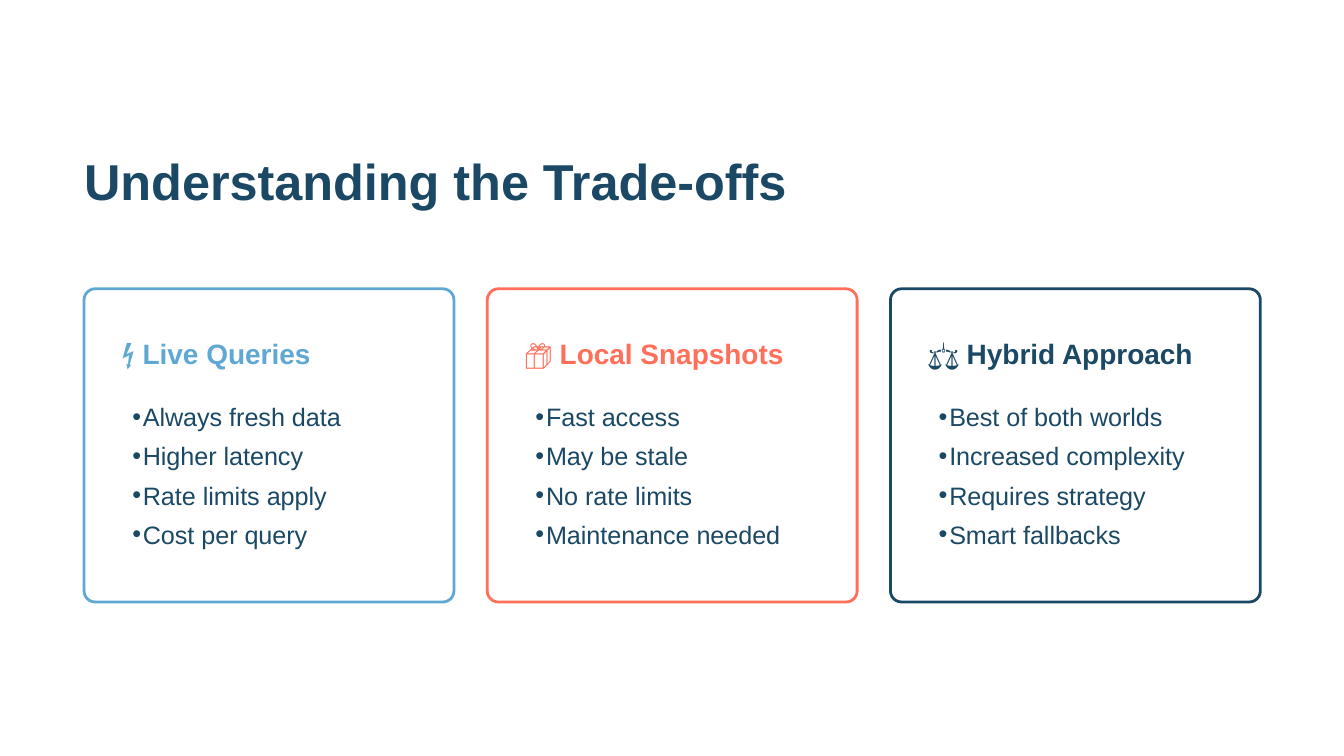
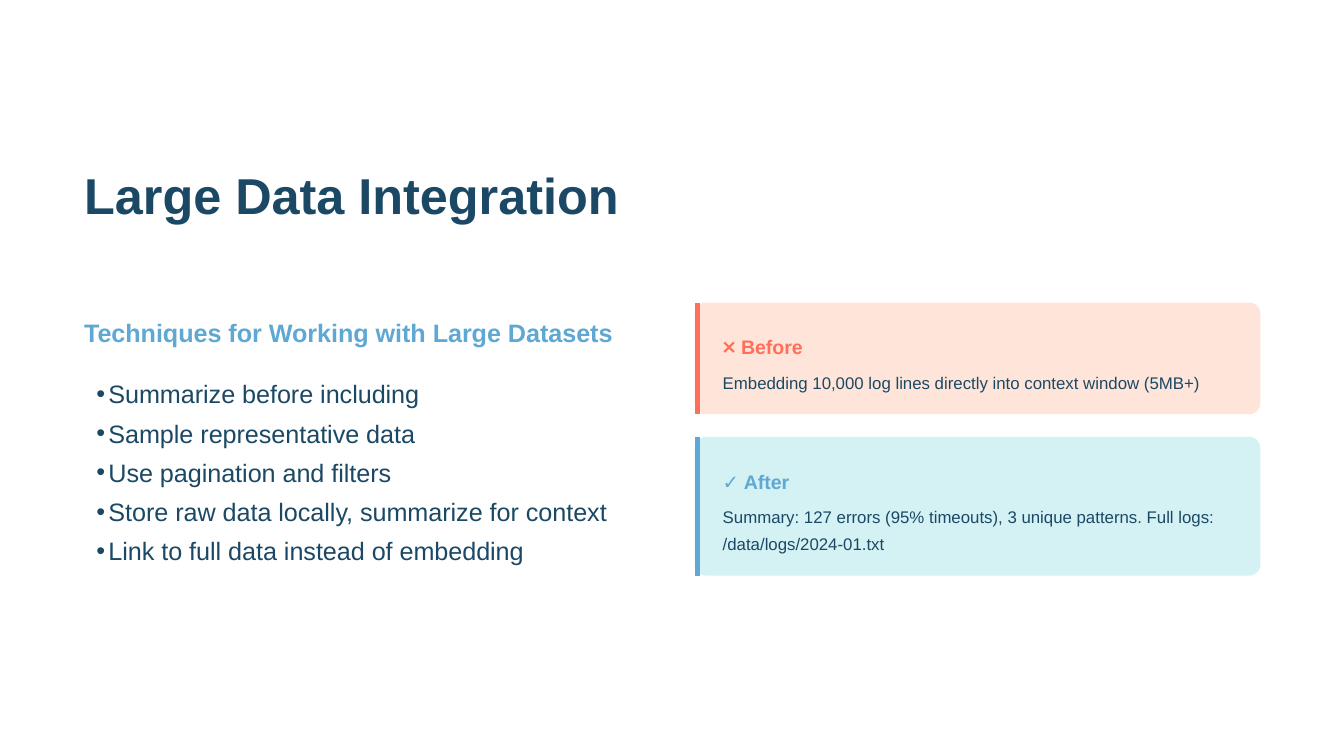
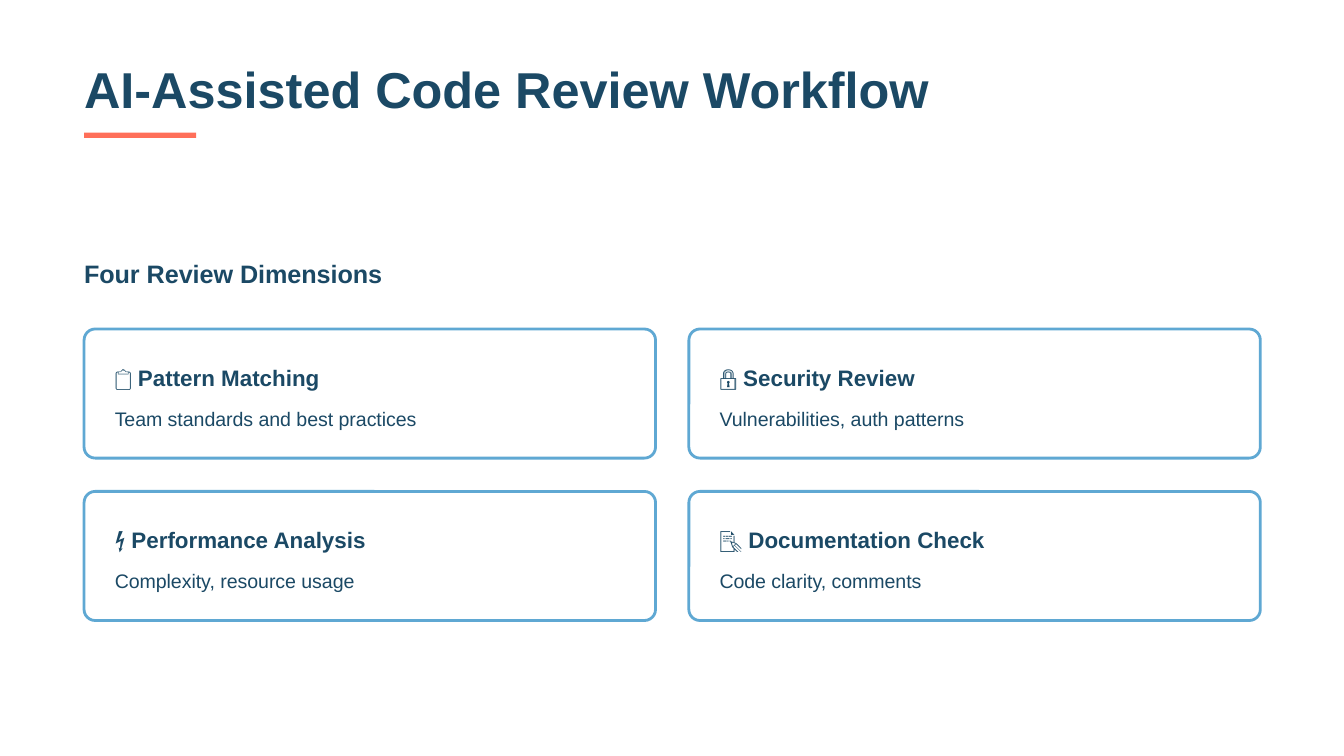
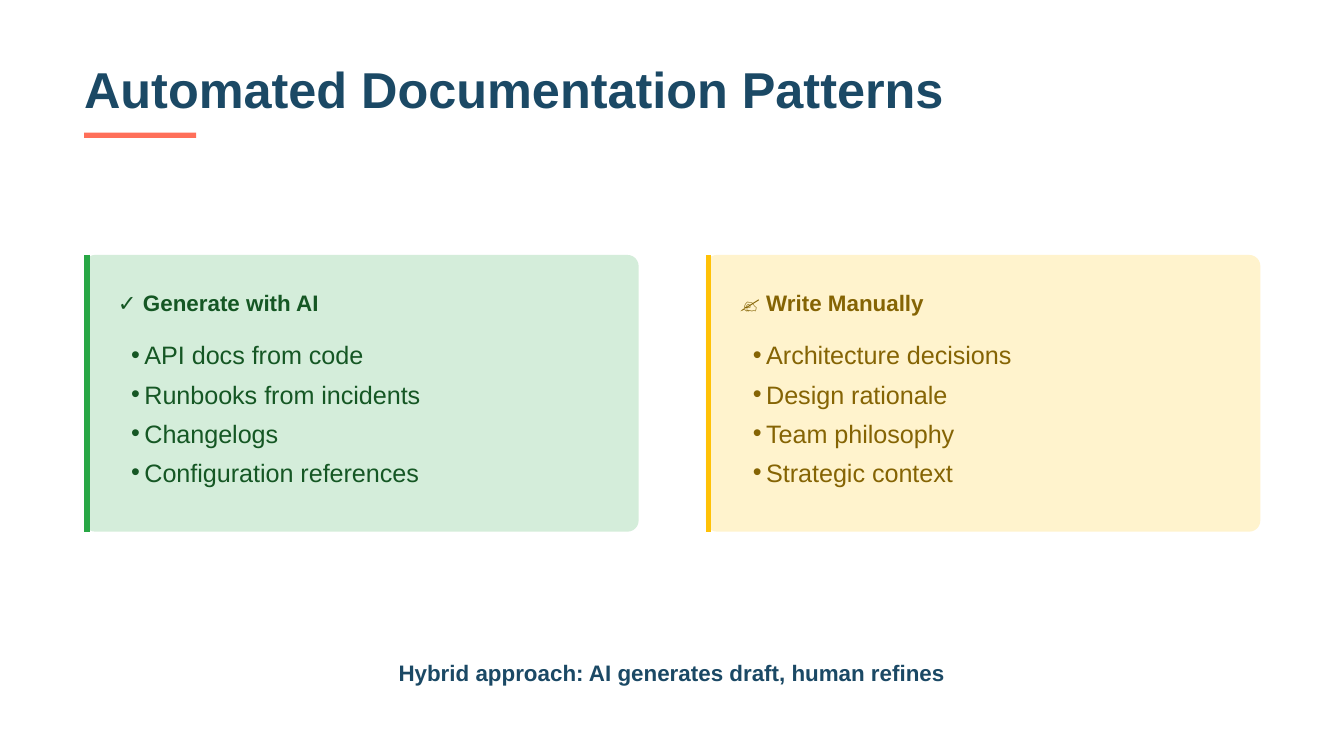
from dataclasses import dataclass
from typing import NamedTuple

from lxml import etree
from pptx import Presentation
from pptx import util as u
from pptx.dml.color import RGBColor
from pptx.enum import shapes, text
from pptx.oxml.ns import qn

NAVY = RGBColor(0x1B, 0x49, 0x65)
SKY = RGBColor(0x5F, 0xA8, 0xD3)
CORAL = RGBColor(0xFF, 0x6F, 0x59)
WHITE = RGBColor(0xFF, 0xFF, 0xFF)
PEACH = RGBColor(0xFF, 0xE5, 0xD9)
AQUA = RGBColor(0xD4, 0xF1, 0xF4)
MINT = RGBColor(0xD4, 0xED, 0xDA)
GREEN = RGBColor(0x28, 0xA7, 0x45)
FOREST = RGBColor(0x15, 0x57, 0x24)
CREAM = RGBColor(0xFF, 0xF3, 0xCD)
AMBER = RGBColor(0xFF, 0xC1, 0x07)
BROWN = RGBColor(0x85, 0x64, 0x04)

FACE = "Arial"
LEFT = 1.59
RADIUS = 0.21
TITLE_ONLY, ONE_LIST, TWO_LISTS, FOUR_SLOTS = 5, 1, 3, 4


class Box(NamedTuple):
    x: float
    y: float
    w: float
    h: float


class Style(NamedTuple):
    size: float
    line: float
    color: RGBColor = NAVY
    bold: bool = False


@dataclass
class Card:
    head: str
    items: list[str]
    edge: RGBColor


@dataclass
class Panel:
    head: str
    items: list[str]
    fill: RGBColor
    edge: RGBColor
    ink: RGBColor


@dataclass
class Note:
    head: str
    body: str
    fill: RGBColor
    edge: RGBColor
    top: float
    high: float
    rows: int


TITLE = Style(27, 30, bold=True)

CARDS = [
    Card("⚡ Live Queries",
         ["Always fresh data", "Higher latency", "Rate limits apply", "Cost per query"], SKY),
    Card("📦 Local Snapshots",
         ["Fast access", "May be stale", "No rate limits", "Maintenance needed"], CORAL),
    Card("⚖ Hybrid Approach",
         ["Best of both worlds", "Increased complexity", "Requires strategy", "Smart fallbacks"],
         NAVY),
]
TECHNIQUES = [
    "Summarize before including",
    "Sample representative data",
    "Use pagination and filters",
    "Store raw data locally, summarize for context",
    "Link to full data instead of embedding",
]
NOTES = [
    Note("❌ Before", "Embedding 10,000 log lines directly into context window (5MB+)",
         PEACH, CORAL, 5.72, 2.11, 1),
    Note("✓ After",
         "Summary: 127 errors (95% timeouts), 3 unique patterns. Full logs: /data/logs/2024-01.txt",
         AQUA, SKY, 8.26, 2.62, 2),
]
REVIEWS = [
    ("📋 Pattern Matching", "Team standards and best practices"),
    ("🔒 Security Review", "Vulnerabilities, auth patterns"),
    ("⚡ Performance Analysis", "Complexity, resource usage"),
    ("📝 Documentation Check", "Code clarity, comments"),
]
PANELS = [
    Panel("✓ Generate with AI",
          ["API docs from code", "Runbooks from incidents", "Changelogs",
           "Configuration references"], MINT, GREEN, FOREST),
    Panel("✍ Write Manually",
          ["Architecture decisions", "Design rationale", "Team philosophy", "Strategic context"],
          CREAM, AMBER, BROWN),
]


def place(shape, box: Box) -> None:
    shape.left, shape.top, shape.width, shape.height = map(u.Cm, box)


def write(shape, words: str, style: Style, inset: float = 0,
          align=text.PP_ALIGN.LEFT) -> None:
    frame = shape.text_frame
    frame.text = words
    frame.word_wrap = True
    frame.auto_size = text.MSO_AUTO_SIZE.NONE
    frame.vertical_anchor = text.MSO_ANCHOR.TOP
    frame.margin_left = u.Cm(inset)
    frame.margin_top = frame.margin_right = frame.margin_bottom = 0
    for para in frame.paragraphs:
        para.alignment = align
        para.line_spacing = u.Pt(style.line)
        para.space_before = para.space_after = u.Pt(0)
        for run in para.runs:
            font = run.font
            font.name, font.size, font.bold = FACE, u.Pt(style.size), style.bold
            font.color.rgb = style.color


def label(slide, words: str, box: Box, style: Style, align=text.PP_ALIGN.LEFT) -> None:
    write(slide.shapes.add_textbox(*map(u.Cm, box)), words, style, align=align)


def bullets(slot, items: list[str], box: Box, ink: RGBColor, indent: float) -> None:
    place(slot, box)
    write(slot, "\n".join(items), Style(13.5, 21, ink), indent)
    for para in slot.text_frame.paragraphs:
        props = para._p.get_or_add_pPr()
        props.set("marL", str(u.Cm(indent)))
        props.set("indent", str(-u.Cm(indent)))
        etree.SubElement(props, qn("a:buChar"), char="•")
    node = slot.element
    node.getparent().append(node)


def block(slide, box: Box, fill: RGBColor, edge: RGBColor | None = None,
          kind=shapes.MSO_SHAPE.ROUNDED_RECTANGLE) -> None:
    shape = slide.shapes.add_shape(kind, *map(u.Cm, box))
    shape.shadow.inherit = False
    shape.fill.solid()
    shape.fill.fore_color.rgb = fill
    if kind == shapes.MSO_SHAPE.ROUNDED_RECTANGLE:
        shape.adjustments[0] = RADIUS / min(box.w, box.h)
    if edge is None:
        shape.line.fill.background()
    else:
        shape.line.color.rgb = edge
        shape.line.width = u.Pt(1.5)


def flag(slide, box: Box, fill: RGBColor, edge: RGBColor) -> None:
    block(slide, box, fill)
    x = u.Cm(box.x + 0.05)
    line = slide.shapes.add_connector(
        shapes.MSO_CONNECTOR.STRAIGHT, x, u.Cm(box.y), x, u.Cm(box.y + box.h))
    line.line.color.rgb = edge
    line.line.width = u.Pt(3)
    etree.SubElement(line.element.spPr, qn("a:effectLst"))


def start(deck, layout: int, title: str, top: float, width: float, rule: bool = False):
    slide = deck.slides.add_slide(deck.slide_layouts[layout])
    place(slide.shapes.title, Box(LEFT, top, width, 1.07))
    write(slide.shapes.title, title, TITLE)
    if rule:
        block(slide, Box(LEFT, 2.51, 2.12, 0.1), CORAL, kind=shapes.MSO_SHAPE.RECTANGLE)
    return slide, list(slide.placeholders)[1:]


def tidy(slots) -> None:
    for slot in slots:
        if not slot.text_frame.text:
            slot.element.getparent().remove(slot.element)


def trade_offs(deck) -> None:
    slide, slots = start(deck, FOUR_SLOTS, "Understanding the Trade-offs", 2.92, 13.56)
    for i, (card, slot) in enumerate(zip(CARDS, slots)):
        x = LEFT + 7.62 * i
        block(slide, Box(x, 5.46, 6.99, 5.92), WHITE, card.edge)
        label(slide, card.head, Box(x + 0.71, 6.25, 5.72, 0.74), Style(15, 21, card.edge, True))
        bullets(slot, card.items, Box(x + 0.71, 7.42, 5.61, 3.28), NAVY, 0.2)
    tidy(slots)


def large_data(deck) -> None:
    slide, slots = start(deck, ONE_LIST, "Large Data Integration", 3.18, 11.35)
    label(slide, "Techniques for Working with Large Datasets",
          Box(LEFT, 5.82, 10.9, 0.74), Style(13.5, 21, SKY, True))
    bullets(slots[0], TECHNIQUES, Box(LEFT, 6.99, 10.69, 4.11), NAVY, 0.23)
    for note in NOTES:
        box = Box(13.13, note.top, 10.69, note.high)
        flag(slide, box, note.fill, note.edge)
        x = box.x + 0.53
        label(slide, note.head, Box(x, box.y + 0.53, 9.93, 0.53),
              Style(10.5, 15, note.edge, True))
        label(slide, note.body, Box(x, box.y + 1.19, 9.93, 0.51 * note.rows), Style(9, 14.4))


def review(deck) -> None:
    slide, _ = start(deck, TITLE_ONLY, "AI-Assisted Code Review Workflow", 1.19, 16.31, True)
    label(slide, "Four Review Dimensions", Box(LEFT, 4.72, 22.68, 0.74),
          Style(13.5, 21, bold=True))
    for i, (head, body) in enumerate(REVIEWS):
        row, col = divmod(i, 2)
        x, y = LEFT + 11.43 * col, 6.22 + 3.07 * row
        block(slide, Box(x, y, 10.8, 2.44), WHITE, SKY)
        label(slide, head, Box(x + 0.58, y + 0.53, 9.83, 0.64), Style(12, 18, bold=True))
        label(slide, body, Box(x + 0.58, y + 1.38, 9.83, 0.53), Style(10.5, 15))


def patterns(deck) -> None:
    slide, slots = start(deck, TWO_LISTS, "Automated Documentation Patterns", 1.19, 16.59, True)
    for i, (panel, slot) in enumerate(zip(PANELS, slots)):
        x = LEFT + 11.75 * i
        flag(slide, Box(x, 4.82, 10.48, 5.23), panel.fill, panel.edge)
        label(slide, panel.head, Box(x + 0.64, 5.34, 9.5, 0.64), Style(12, 18, panel.ink, True))
        bullets(slot, panel.items, Box(x + 0.64, 6.25, 9.32, 3.28), panel.ink, 0.25)
    label(slide, "Hybrid approach: AI generates draft, human refines",
          Box(1.36, 12.34, 22.68, 0.64), Style(12, 18, bold=True), text.PP_ALIGN.CENTER)


def main() -> None:
    deck = Presentation()
    deck.slide_width, deck.slide_height = u.Cm(25.4), u.Cm(14.29)
    for draw in (trade_offs, large_data, review, patterns):
        draw(deck)
    deck.save("out.pptx")


if __name__ == "__main__":
    main()
